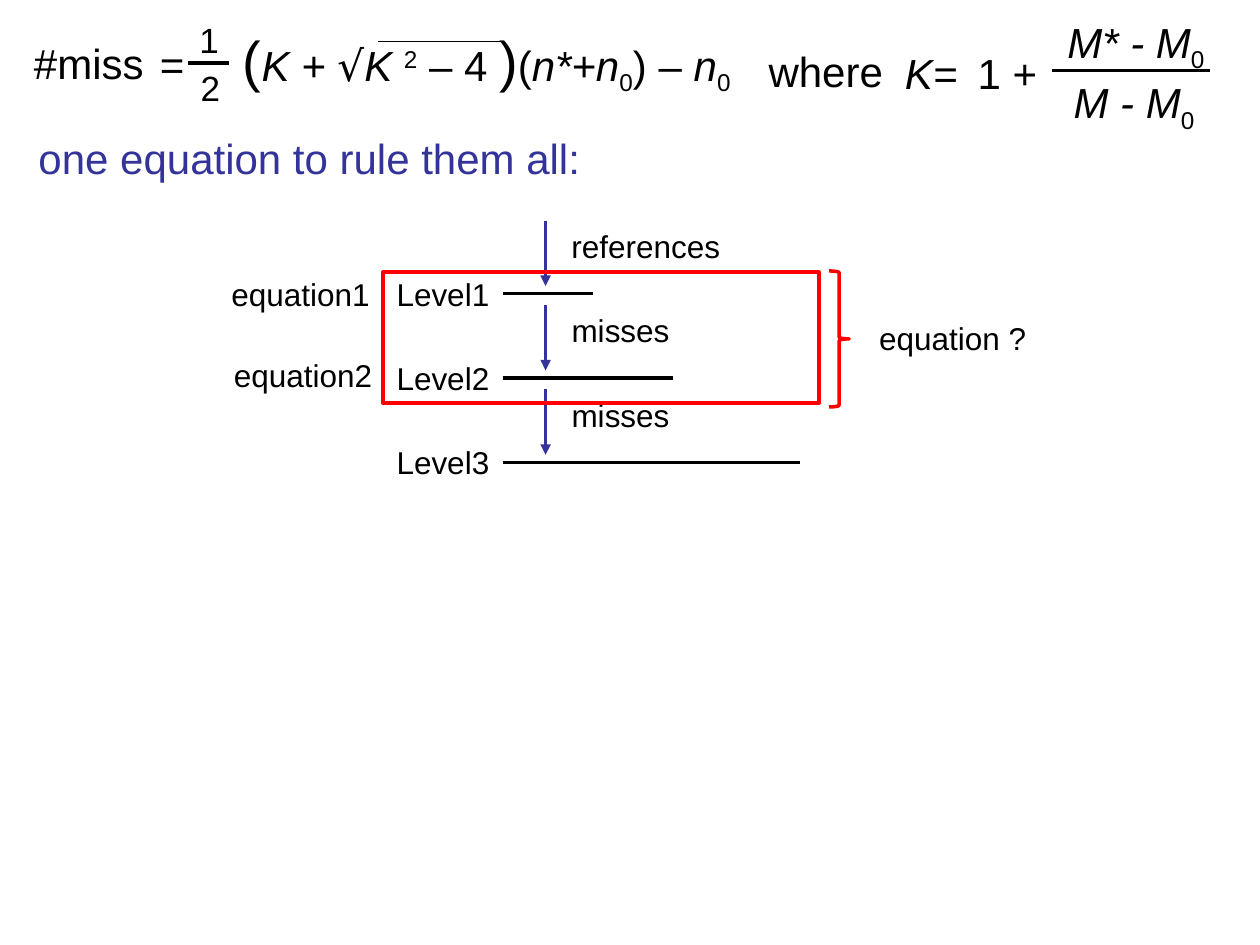
from lxml import etree
from pptx import Presentation
from pptx.dml.color import RGBColor
from pptx.enum.shapes import MSO_CONNECTOR, MSO_SHAPE
from pptx.enum.text import MSO_AUTO_SIZE, PP_ALIGN
from pptx.oxml.ns import qn
from pptx.util import Inches, Pt

STRAIGHT = MSO_CONNECTOR.STRAIGHT
RECT, BRACE = MSO_SHAPE.RECTANGLE, MSO_SHAPE.RIGHT_BRACE
CENTER, LEFT = PP_ALIGN.CENTER, PP_ALIGN.LEFT
FIT = MSO_AUTO_SIZE.SHAPE_TO_FIT_TEXT
BLACK = RGBColor(0x00, 0x00, 0x00)
BLUE = RGBColor(0x33, 0x33, 0x99)
RED = RGBColor(0xFF, 0x00, 0x00)

ITALIC = {"italic": True}
SUB = {"baseline": -25}
SUP = {"baseline": 30}
BIG = {"size": 32}


def add_run(p, text, size=24, font="Arial", color=BLACK, italic=False, baseline=0):
    r = p.add_run()
    r.text = text
    r.font.size = Pt(size)
    r.font.name = font
    r.font.color.rgb = color
    r.font.italic = italic
    if baseline:
        r.font._element.set("baseline", str(baseline * 1000))


class Deck:
    def __init__(self, width, height):
        self.prs = Presentation()
        self.prs.slide_width, self.prs.slide_height = Inches(width), Inches(height)
        self.s = self.prs.slides.add_slide(self.prs.slide_layouts[6])
        self.shapes = self.s.shapes

    def group(self):
        self.shapes = self.s.shapes.add_group_shape().shapes

    def text(self, x, y, w, h, *runs, align=CENTER, **style):
        tf = self.shapes.add_textbox(Inches(x), Inches(y), Inches(w), Inches(h)).text_frame
        tf.word_wrap = False
        tf.auto_size = FIT
        p = tf.paragraphs[0]
        p.alignment = align
        for run in runs:
            text, own = (run, {}) if isinstance(run, str) else run
            add_run(p, text, **{**style, **own})

    def label(self, x, y, w, text):
        self.text(x, y, w, 0.4, text, size=18)

    def line(self, x1, y1, x2, y2, color=BLACK, width=2, arrow=False):
        c = self.shapes.add_connector(STRAIGHT, Inches(x1), Inches(y1), Inches(x2), Inches(y2))
        c.line.color.rgb = color
        c.line.width = Pt(width)
        if arrow:
            etree.SubElement(c.line._get_or_add_ln(), qn("a:tailEnd"), type="triangle")
        etree.SubElement(c._element.spPr, qn("a:effectLst"))

    def outline(self, kind, x, y, w, h):
        sp = self.shapes.add_shape(kind, Inches(x), Inches(y), Inches(w), Inches(h))
        sp.shadow.inherit = False
        sp.fill.background()
        sp.line.color.rgb = RED
        sp.line.width = Pt(2)


def add_definition(deck):
    deck.group()
    deck.text(6, 0.31, 1.2, 0.5, "where ")
    deck.text(7.08, 0.33, 0.62, 0.5, "K=", italic=True)
    deck.text(7.66, 0.33, 0.67, 0.5, "1 +")
    deck.text(8.36, 0.08, 1.31, 0.5, ("M* - M", ITALIC), ("0", SUB))
    deck.text(8.41, 0.56, 1.18, 0.5, ("M - M", ITALIC), ("0", SUB))
    deck.line(8.35, 0.56, 9.6, 0.56)


def add_equation(deck):
    deck.group()
    deck.text(0.17, 0.25, 1.07, 0.5, "#miss")
    deck.text(1.17, 0.26, 0.4, 0.5, "=", align=LEFT)
    deck.text(1.48, 0.1, 0.36, 0.43, "1", size=20)
    deck.text(1.49, 0.48, 0.36, 0.43, "2", size=20)
    deck.line(1.49, 0.5, 1.82, 0.5)
    deck.text(
        1.83, 0.15, 4.07, 0.64,
        ("(", BIG), ("K + ", ITALIC), ("√", {"font": "DejaVu Sans", "italic": True}),
        ("K ", ITALIC), ("2", SUP), " – 4 ", (")", BIG), "(", ("n*+n", ITALIC),
        ("0", SUB), ") – ", ("n", ITALIC), ("0", SUB), align=LEFT)
    deck.line(3, 0.33, 4, 0.33, width=0.75)


def add_hierarchy(deck):
    deck.group()
    levels = [("references", 1.39, 4.71), ("misses", 0.99, 5.34), ("misses", 0.99, 6.35)]
    for i, (flow, flow_width, line_end) in enumerate(levels):
        y = 2.33 + 0.67 * i
        deck.line(3.99, y, line_end, y)
        deck.line(4.33, y - 0.58, 4.33, y - 0.06, color=BLUE, arrow=True)
        deck.label(4.43, y - 0.58, flow_width, flow)
        deck.label(3.04, y - 0.2, 0.95, f"Level{i + 1}")


def add_equation_labels(deck):
    deck.group()
    deck.label(1.73, 2.13, 1.31, "equation1")
    deck.label(1.75, 2.78, 1.31, "equation2")


def add_question(deck):
    deck.group()
    deck.outline(RECT, 3.04, 2.16, 3.46, 1.04)
    deck.outline(BRACE, 6.58, 2.15, 0.16, 1.08)
    deck.label(6.87, 2.48, 1.38, "equation ?")


def main():
    deck = Deck(10, 7.5)
    deck.text(0.18, 1, 4.55, 0.5, "one equation to rule them all:", color=BLUE)
    add_definition(deck)
    add_equation(deck)
    add_hierarchy(deck)
    add_equation_labels(deck)
    add_question(deck)
    deck.prs.save("out.pptx")


if __name__ == "__main__":
    main()
